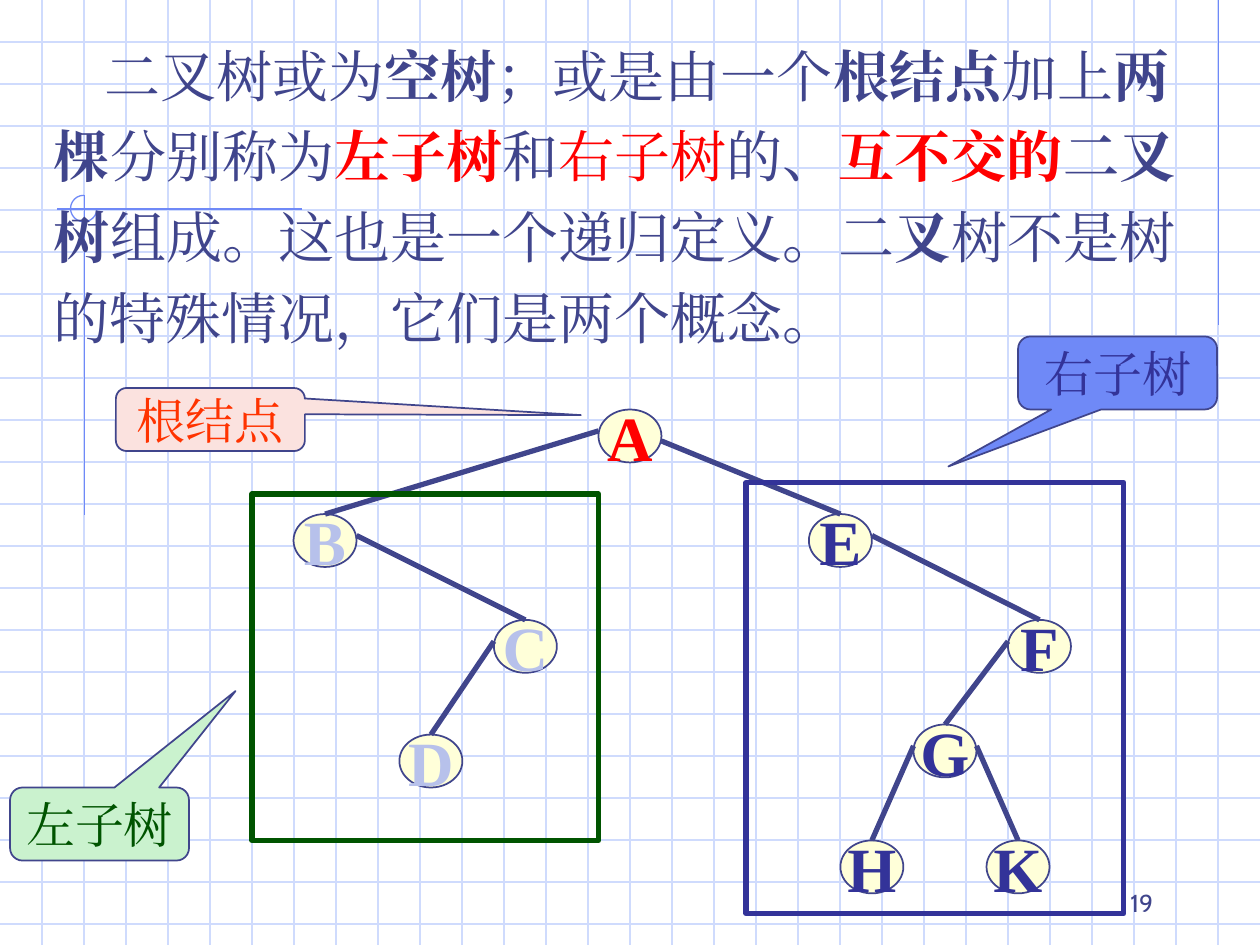
import pptx
import pptx.dml.color
import pptx.enum.shapes
import pptx.enum.text
import pptx.oxml
import pptx.oxml.ns
import pptx.util
from lxml import etree

Inches = pptx.util.Inches
Pt = pptx.util.Pt
RGBColor = pptx.dml.color.RGBColor
Shape = pptx.enum.shapes.MSO_SHAPE
Align = pptx.enum.text.PP_ALIGN
Anchor = pptx.enum.text.MSO_ANCHOR
qn = pptx.oxml.ns.qn

INK = RGBColor(0x40, 0x45, 0x8C)
GRID = RGBColor(0xCF, 0xDB, 0xFD)
BLUE = RGBColor(0x6F, 0x89, 0xF7)
NAVY = RGBColor(0x33, 0x33, 0x99)
GREEN = RGBColor(0x00, 0x54, 0x00)
RED = RGBColor(0xFF, 0x00, 0x00)
ORANGE = RGBColor(0xFF, 0x33, 0x00)
PALE_BLUE = RGBColor(0xB7, 0xC1, 0xEB)
CREAM = RGBColor(0xFF, 0xFF, 0xD9)
PINK = RGBColor(0xFB, 0xE2, 0xDF)
MINT = RGBColor(0xCA, 0xF2, 0xCE)

WIDTH, HEIGHT = 10, 7.5
NODE_WIDTH, NODE_HEIGHT = 0.5, 0.42

# text, bold, colour
DEFINITION = [
    ("二叉树或为", False, INK), ("空树", True, INK), ("；或是由一个", False, INK),
    ("根结点", True, INK), ("加上", False, INK), ("两棵", True, INK),
    ("分别称为", False, INK), ("左子树", True, RED), ("和", False, INK),
    ("右子树", False, RED), ("的、", False, INK), ("互不交的", True, RED),
    ("二叉树", True, INK), ("组成。这也是一个递归定义。二", False, INK),
    ("叉", True, INK), ("树不是树的特殊情况，它们是两个概念", False, INK),
]

# name: left, top, letter colour
NODES = {
    "A": (4.75, 3.25, RED), "B": (2.33, 4.08, PALE_BLUE),
    "C": (3.92, 4.92, PALE_BLUE), "D": (3.17, 5.83, PALE_BLUE),
    "E": (6.42, 4.08, NAVY), "F": (8, 4.92, NAVY), "G": (7.25, 5.75, NAVY),
    "H": (6.67, 6.67, NAVY), "K": (7.83, 6.67, NAVY),
}

# parent, child, side of the parent, drop from the parent's top
EDGES = [
    ("A", "B", "left", 0.17), ("B", "C", "right", 0.17), ("C", "D", "left", 0.17),
    ("A", "E", "right", 0.25), ("E", "F", "right", 0.17), ("F", "G", "left", 0.17),
    ("G", "H", "left", 0.17), ("G", "K", "right", 0.17),
]

# text, box, adjustments, fill, text colour
CALLOUTS = [
    ("根结点", (0.92, 3.08, 1.5, 0.5), (1.96, -0.07, 0.17), PINK, ORANGE),
    ("左子树", (0.08, 6.25, 1.42, 0.58), (0.76, -1.82, 0.17), MINT, GREEN),
    ("右子树", (8.08, 2.67, 1.58, 0.58), (-0.85, 1.28, 0.17), BLUE, NAVY),
]


class TreeSlide:
    serif = "Times New Roman"

    def __init__(self, slide):
        self.slide = slide

    def line(self, start, end, color, width=0.75):
        connector = self.slide.shapes.add_connector(
            pptx.enum.shapes.MSO_CONNECTOR.STRAIGHT,
            *[Inches(value) for value in (*start, *end)])
        connector.line.color.rgb = color
        connector.line.width = Pt(width)
        etree.SubElement(connector._element.spPr, qn("a:effectLst"))
        return connector

    def shape(self, kind, box, color, width=1, fill=None, adjustments=()):
        shape = self.slide.shapes.add_shape(kind, *[Inches(value) for value in box])
        shape.shadow.inherit = False
        shape.line.color.rgb = color
        shape.line.width = Pt(width)
        if fill is None:
            shape.fill.background()
        else:
            shape.fill.solid()
            shape.fill.fore_color.rgb = fill
        for index, value in enumerate(adjustments):
            shape.adjustments[index] = value
        return shape

    def style(self, paragraph, size, color, bold=None, name=None):
        """Set the paragraph font for Latin and East Asian text alike."""
        font = paragraph.font
        font.size = Pt(size)
        font.color.rgb = color
        font.bold = bold
        font.name = name or self.serif
        properties = paragraph._p.get_or_add_pPr().find(qn("a:defRPr"))
        etree.SubElement(properties, qn("a:ea"), typeface=font.name)

    def label(self, shape, text, size, color, bold=None):
        frame = shape.text_frame
        frame.word_wrap = False
        frame.vertical_anchor = Anchor.MIDDLE
        paragraph = frame.paragraphs[0]
        paragraph.text = text
        paragraph.alignment = Align.CENTER
        self.style(paragraph, size, color, bold)

    def text_box(self, box):
        frame = self.slide.shapes.add_textbox(
            *[Inches(value) for value in box]).text_frame
        frame.word_wrap = True
        return frame

    def background(self):
        for index in range(1, 23):
            self.line((0, index / 3), (WIDTH, index / 3), GRID)
        for index in range(1, 30):
            self.line((index / 3, 0), (index / 3, HEIGHT), GRID)
        self.line((9.67, 0), (9.67, 2.58), BLUE)
        self.line((2.4, 1.66), (0.45, 1.66), BLUE)
        self.line((0.67, 1.55), (0.67, 4.09), BLUE)
        # Three quarters of a circle; angles count in 60000ths of a degree
        self.shape(Shape.ARC, (0.56, 1.55, 0.21, 0.21), BLUE, 0.75,
                   adjustments=(0, 270 * 0.6))

    def definition(self):
        frame = self.text_box((0.33, 0.17, 9.42, 2.66))
        frame.auto_size = pptx.enum.text.MSO_AUTO_SIZE.SHAPE_TO_FIT_TEXT
        paragraph = frame.paragraphs[0]
        paragraph.line_spacing = 1.2
        paragraph._p.get_or_add_pPr().set("indent", str(Inches(0.4)))
        self.style(paragraph, 32, INK)
        for text, bold, color in DEFINITION:
            run = paragraph.add_run()
            run.text = text
            run.font.bold = bold
            run.font.color.rgb = color
        stop = paragraph.add_run()
        stop.text = "。"
        stop.font.name = "Noto Sans CJK SC"

    def tree(self):
        nodes = {}
        for name, (left, top, color) in NODES.items():
            nodes[name] = self.shape(
                Shape.OVAL, (left, top, NODE_WIDTH, NODE_HEIGHT), INK, fill=CREAM)
            self.label(nodes[name], name, 36, color, bold=True)
        for parent, child, side, drop in EDGES:
            left, top, _ = NODES[parent]
            start = (left + (NODE_WIDTH if side == "right" else 0), top + drop)
            edge = self.line(start, NODES[child][:2], INK, 3)
            edge.end_connect(nodes[child], 0)

    def callout(self, text, box, adjustments, fill, color):
        shape = self.shape(Shape.ROUNDED_RECTANGULAR_CALLOUT, box, INK,
                           fill=fill, adjustments=adjustments)
        self.label(shape, text, 28, color)

    def page_number(self, number):
        frame = self.text_box((7.17, 6.83, 2.08, 0.5))
        frame.vertical_anchor = Anchor.BOTTOM
        paragraph = frame.paragraphs[0]
        paragraph.text = str(number)
        paragraph.alignment = Align.RIGHT
        self.style(paragraph, 14, INK, name="Cabin")


def main():
    presentation = pptx.Presentation()
    presentation.slide_width = Inches(WIDTH)
    presentation.slide_height = Inches(HEIGHT)
    page = TreeSlide(presentation.slides.add_slide(presentation.slide_layouts[6]))
    page.background()
    page.definition()
    page.tree()
    page.shape(Shape.RECTANGLE, (2, 3.92, 2.75, 2.75), GREEN, 3)
    page.shape(Shape.RECTANGLE, (5.92, 3.83, 3, 3.42), NAVY, 3)
    for callout in CALLOUTS:
        page.callout(*callout)
    page.page_number(19)
    presentation.save("out.pptx")


if __name__ == "__main__":
    main()
